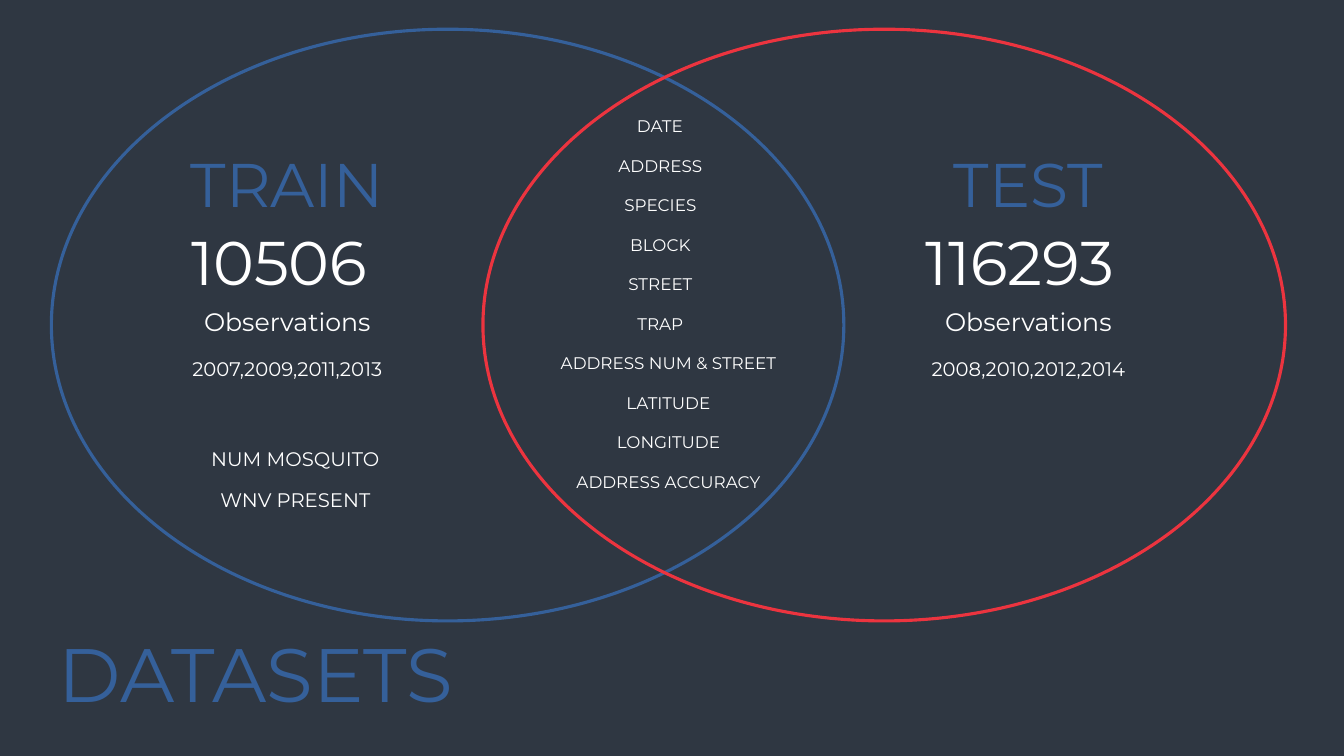
"""Build the slide comparing the train and test datasets."""
from pptx import Presentation
from pptx.dml.color import RGBColor
from pptx.enum.shapes import MSO_SHAPE
from pptx.enum.text import MSO_ANCHOR, MSO_AUTO_SIZE, PP_ALIGN
from pptx.util import Inches, Pt

OVAL = MSO_SHAPE.OVAL
BOTTOM = MSO_ANCHOR.BOTTOM
FIXED = MSO_AUTO_SIZE.NONE
GROW = MSO_AUTO_SIZE.SHAPE_TO_FIT_TEXT
LEFT, CENTER = PP_ALIGN.LEFT, PP_ALIGN.CENTER
FONT = "Montserrat"
COLORS = {"back": "2F3742", "blue": "35609A", "red": "EC343F", "white": "FFFFFF"}
TITLE_ONLY = 5

SHARED = [
    ("DATE", 6.11, 0.87),
    *[(name, 5.88, 1.34) for name in ("ADDRESS", "SPECIES", "BLOCK", "STREET", "TRAP")],
    *[(name, 5.18, 2.9) for name in ("ADDRESS NUM & STREET", "LATITUDE",
                                     "LONGITUDE", "ADDRESS ACCURACY")],
]
EXTRA = [(name, 1.72, 2.42) for name in ("NUM MOSQUITO", "WNV PRESENT")]


def color(name):
    """Return the named colour."""
    return RGBColor.from_string(COLORS[name])


def write(frame, text, size, fade=False, align=CENTER, space=None, fit=GROW):
    """Put one formatted line of text in a frame."""
    frame.word_wrap = True
    frame.auto_size = fit
    para = frame.paragraphs[0]
    para.alignment = align
    para.line_spacing = space
    run = para.add_run()
    run.text = text
    font = run.font
    font.name, font.size = FONT, Pt(size)
    if fade:
        font.fill.gradient()
        font.fill.gradient_angle = 0
        for stop, name in zip(font.fill.gradient_stops, ("blue", "red")):
            stop.color.rgb = color(name)
    else:
        font.color.rgb = color("white")


def label(shapes, text, left, top, width, height, size, **form):
    """Add a text box."""
    box = shapes.add_textbox(*map(Inches, (left, top, width, height)))
    write(box.text_frame, text, size, **form)


def stack(slide, rows, top, step, height, size):
    """Add a group of evenly spaced labels."""
    group = slide.shapes.add_group_shape()
    for i, (text, left, width) in enumerate(rows):
        label(group.shapes, text, left, top + i * step, width, height, size)


def ring(slide, left, width, name):
    """Add an unfilled ellipse."""
    oval = slide.shapes.add_shape(OVAL, *map(Inches, (left, 0.29, width, 5.87)))
    oval.shadow.inherit = False
    oval.fill.background()
    oval.line.color.rgb = color(name)
    oval.line.width = Pt(2.25)


def stats(slide, mid, name, count, width, years):
    """Add the name, count and years of one dataset."""
    rows = [
        (name, 0, 1.4, 2.36, 0.84, 44, True),
        (count, 0, 2.17, width, 0.84, 44, False),
        ("Observations", 0, 2.99, 2.18, 0.4, 18, False),
        (years, 0, 3.49, 2.42, 0.34, 14, False),
    ]
    for text, shift, top, wide, high, size, fade in rows:
        label(slide.shapes, text, mid + shift - wide / 2, top, wide, high, size, fade=fade)


def heading(slide, text):
    """Place and format the title."""
    title = slide.shapes.title
    title.left, title.top, title.width, title.height = map(
        Inches, (0.48, 6.16, 6.71, 1.01))
    title.text_frame.vertical_anchor = BOTTOM
    write(title.text_frame, text, 54, fade=True, align=LEFT, space=1.5, fit=FIXED)


def main():
    """Build and save the slide."""
    deck = Presentation()
    deck.slide_width, deck.slide_height = Inches(13.33), Inches(7.5)
    slide = deck.slides.add_slide(deck.slide_layouts[TITLE_ONLY])
    slide.background.fill.solid()
    slide.background.fill.fore_color.rgb = color("back")
    heading(slide, "DATASETS")
    stats(slide, 2.85, "TRAIN", "10506 ", 2.23, "2007,2009,2011,2013")
    stats(slide, 10.2, "TEST", "116293 ", 2.6, "2008,2010,2012,2014")
    stack(slide, SHARED, 1.1, 0.392, 0.3, 12)
    stack(slide, EXTRA, 4.38, 0.41, 0.34, 14)
    ring(slide, 0.51, 7.86, "blue")
    ring(slide, 4.79, 7.96, "red")
    deck.save("out.pptx")


if __name__ == "__main__":
    main()
